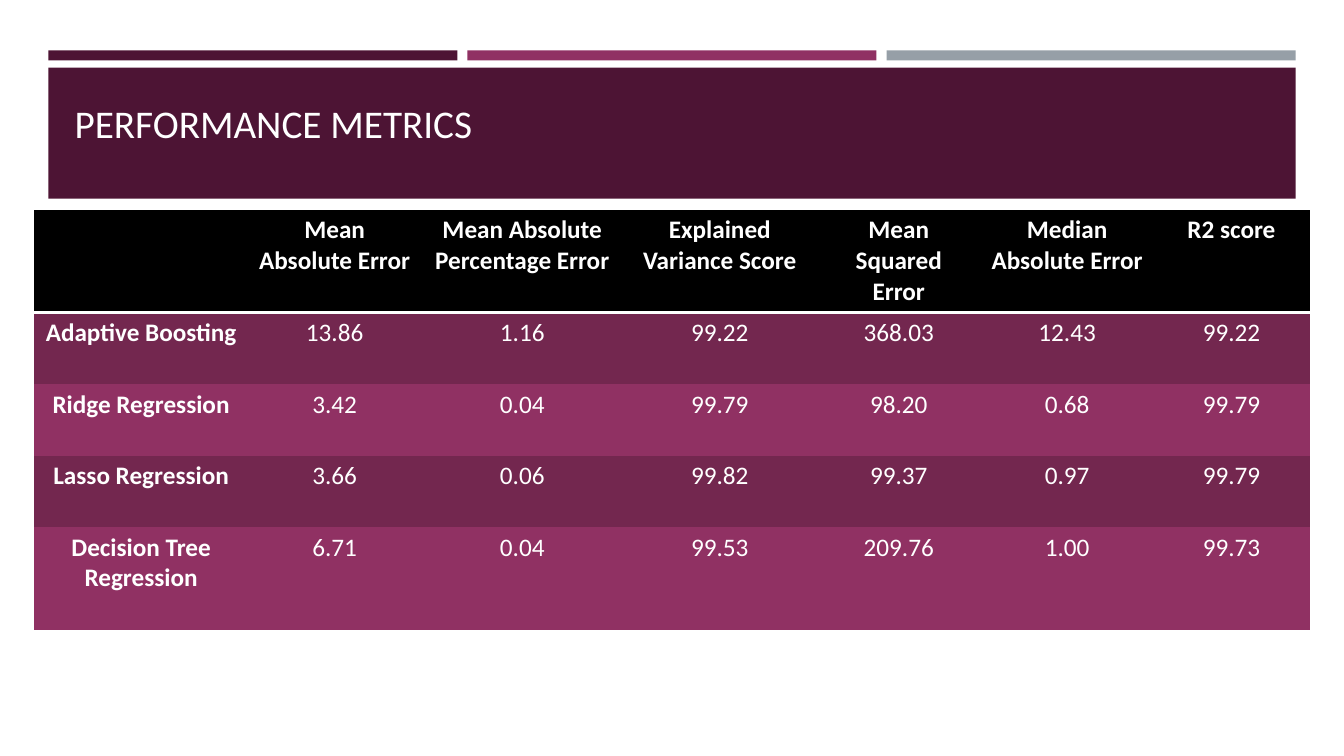
from dataclasses import dataclass

from lxml import etree
from pptx import Presentation, util as u
from pptx.dml.color import RGBColor
from pptx.enum import shapes, text
from pptx.oxml import ns

# Content
TITLE = "PERFORMANCE METRICS"
METRICS = [
    ("", "Mean Absolute Error", "Mean Absolute Percentage Error", "Explained Variance Score",
     "Mean Squared Error", "Median Absolute Error", "R2 score"),
    ("Adaptive Boosting ", "13.86", "1.16", "99.22", "368.03", "12.43", "99.22"),
    ("Ridge Regression", "3.42", "0.04", "99.79", "98.20", "0.68", "99.79"),
    ("Lasso Regression", "3.66", "0.06", "99.82", "99.37", "0.97", "99.79"),
    ("Decision Tree Regression", "6.71", "0.04", "99.53", "209.76", "1.00", "99.73"),
]


@dataclass(frozen=True)
class Theme:
    font: str = "Calibri"
    title_size: int = 28
    table_size: int = 18
    white: str = "FFFFFF"
    header: str = "000000"
    plum: str = "4D1434"
    magenta: str = "903163"
    grey: str = "969FA7"
    dark_row: str = "73274F"


THEME = Theme()

# Layout in inches
SLIDE_SIZE = (13.33, 7.5)
MARGIN, BAR_GAP, BAR_TOP, BAR_HEIGHT = 0.48, 0.1, 0.5, 0.1
BAND_TOP, BAND_HEIGHT = 0.67, 1.3
TITLE_BOX = (0.64, 0.39, 12.06, 1.11)
TABLE_LEFT, TABLE_TOP = 0.34, 2.08
COLUMNS = (2.12, 1.72, 2, 1.92, 1.63, 1.71, 1.55)
ROWS = (1.02, 0.71, 0.71, 0.71, 1.02)
NO_STYLE = "{2D5ABB26-0587-4C30-8999-92F81FD0307C}"


def inches(*lengths):
    return [u.Inches(length) for length in lengths]


def add_block(page, place, color):
    block = page.shapes.add_shape(shapes.MSO_SHAPE.RECTANGLE, *inches(*place))
    block.shadow.inherit = False
    block.fill.solid()
    block.fill.fore_color.rgb = RGBColor.from_string(color)
    block.line.fill.background()


def set_font(para, size, bold=False):
    para.font.name = THEME.font
    para.font.size = u.Pt(size)
    para.font.bold = bold
    para.font.color.rgb = RGBColor.from_string(THEME.white)


def add_bottom_border(cell, points):
    line = etree.Element(ns.qn("a:lnB"), w=str(u.Pt(points)))
    fill = etree.SubElement(line, ns.qn("a:solidFill"))
    etree.SubElement(fill, ns.qn("a:srgbClr"), val=THEME.white)
    cell._tc.get_or_add_tcPr().insert(0, line)


def add_header(page):
    # Three accent bars above a full-width band
    width = SLIDE_SIZE[0] - 2 * MARGIN
    bar_width = (width - 2 * BAR_GAP) / 3
    for index, color in enumerate((THEME.plum, THEME.magenta, THEME.grey)):
        left = MARGIN + index * (bar_width + BAR_GAP)
        add_block(page, (left, BAR_TOP, bar_width, BAR_HEIGHT), color)
    add_block(page, (MARGIN, BAND_TOP, width, BAND_HEIGHT), THEME.plum)

    # Title in front of the band
    title = page.shapes.title
    title.left, title.top, title.width, title.height = inches(*TITLE_BOX)
    title.text_frame.text = TITLE
    title.text_frame.vertical_anchor = text.MSO_ANCHOR.BOTTOM
    para = title.text_frame.paragraphs[0]
    para.alignment = text.PP_ALIGN.LEFT
    set_font(para, THEME.title_size)
    page.shapes._spTree.append(title._element)


def add_metrics(page):
    frame = page.shapes.add_table(
        len(ROWS), len(COLUMNS), *inches(TABLE_LEFT, TABLE_TOP, sum(COLUMNS), sum(ROWS)))
    table = frame.table
    table._tbl.tblPr.find(ns.qn("a:tableStyleId")).text = NO_STYLE
    for column, width in zip(table.columns, COLUMNS):
        column.width = u.Inches(width)
    for row, height in zip(table.rows, ROWS):
        row.height = u.Inches(height)

    # Black header, then alternating row colours
    for r, values in enumerate(METRICS):
        color = THEME.header if r == 0 else (THEME.magenta, THEME.dark_row)[r % 2]
        for c, value in enumerate(values):
            cell = table.cell(r, c)
            cell.text = value
            cell.fill.solid()
            cell.fill.fore_color.rgb = RGBColor.from_string(color)
            para = cell.text_frame.paragraphs[0]
            para.alignment = text.PP_ALIGN.CENTER
            set_font(para, THEME.table_size, bold=r == 0 or c == 0)
            if r == 0:
                add_bottom_border(cell, 2)


def main():
    deck = Presentation()
    deck.slide_width, deck.slide_height = inches(*SLIDE_SIZE)
    page = deck.slides.add_slide(deck.slide_layouts[5])
    add_header(page)
    add_metrics(page)
    deck.save("out.pptx")


if __name__ == "__main__":
    main()
